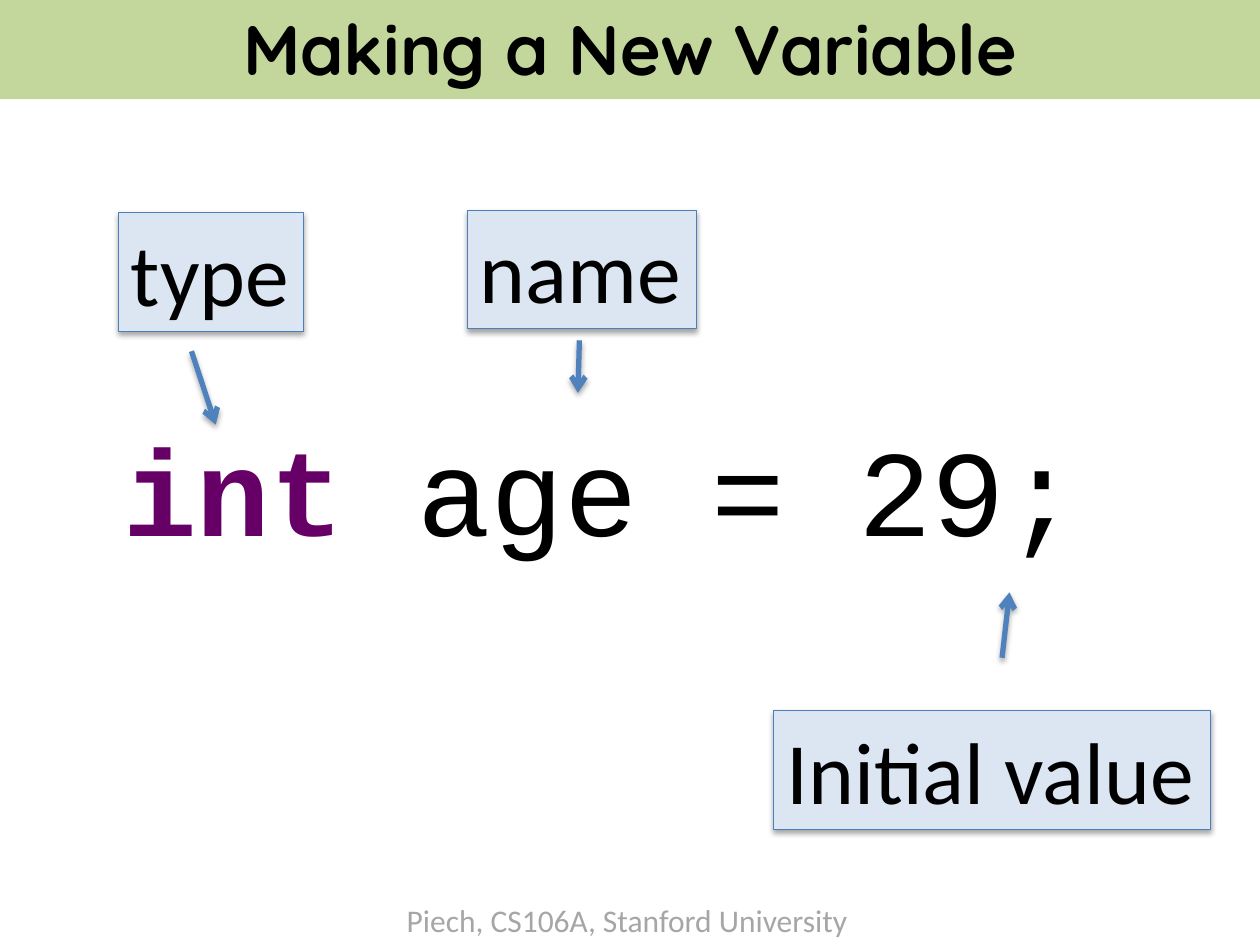
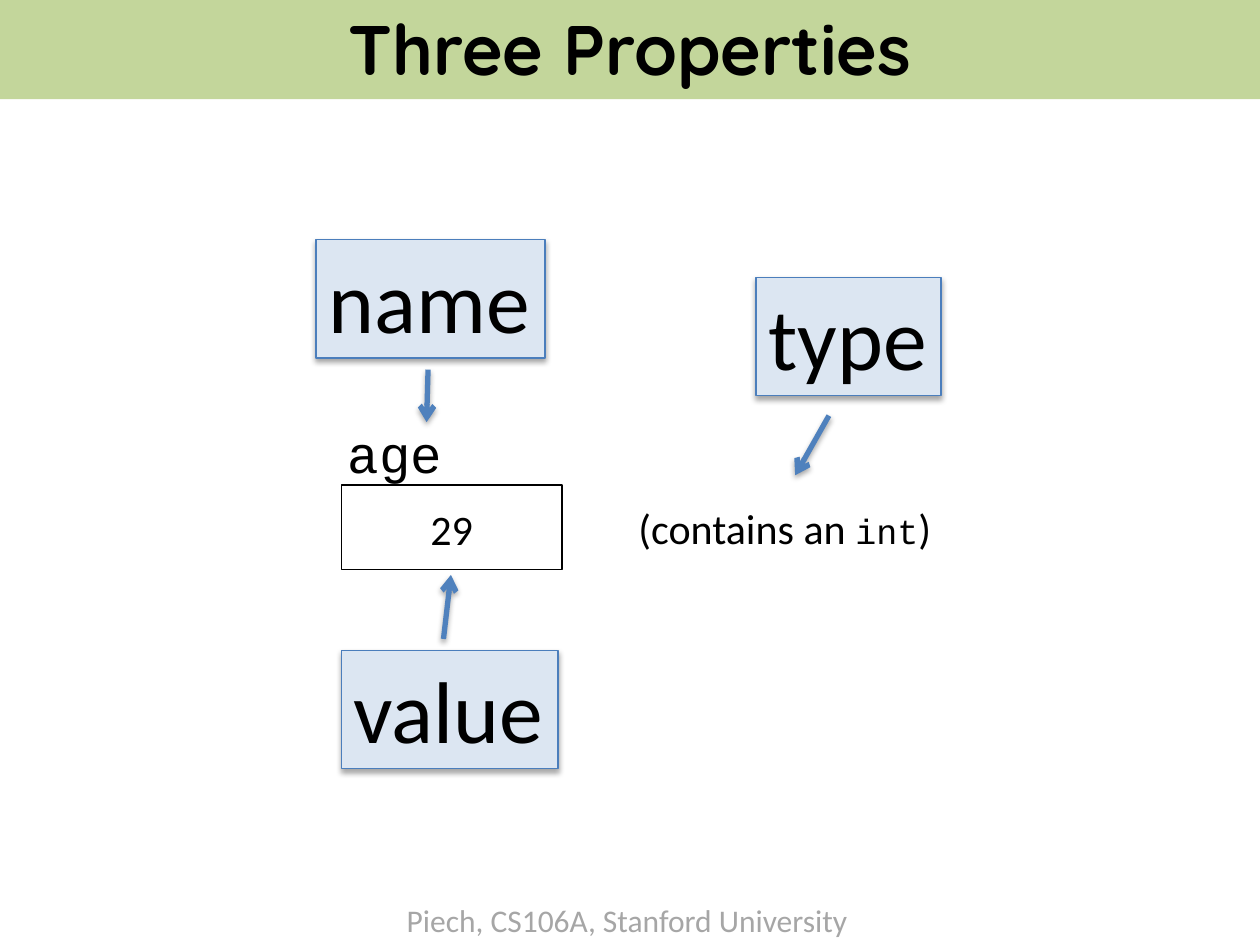
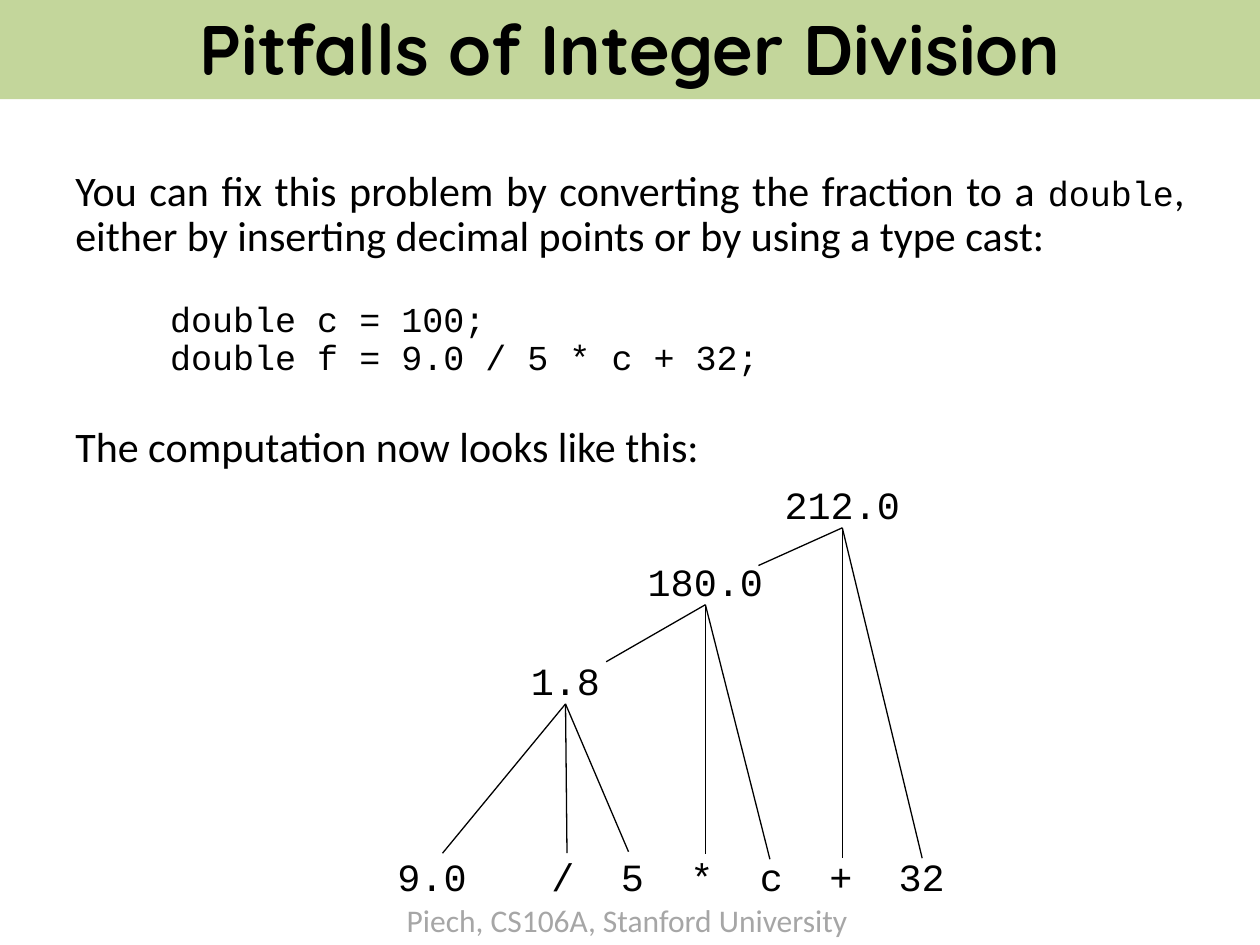
from lxml import etree
from pptx import Presentation
from pptx.dml.color import RGBColor
from pptx.enum.shapes import MSO_CONNECTOR, MSO_SHAPE
from pptx.enum.text import MSO_ANCHOR, MSO_AUTO_SIZE, PP_ALIGN
from pptx.oxml.ns import nsdecls, qn
from pptx.oxml import parse_xml
from pptx.util import Cm, Pt

RECTANGLE = MSO_SHAPE.RECTANGLE
STRAIGHT = MSO_CONNECTOR.STRAIGHT
LEFT, CENTER, JUSTIFY = PP_ALIGN.LEFT, PP_ALIGN.CENTER, PP_ALIGN.JUSTIFY
TOP, MIDDLE = MSO_ANCHOR.TOP, MSO_ANCHOR.MIDDLE
FIT_SHAPE = MSO_AUTO_SIZE.SHAPE_TO_FIT_TEXT

COLORS = {
    "text": "000000",
    "paper": "FFFFFF",
    "band": "C3D69B",
    "footer": "A6A6A6",
    "keyword": "660066",
    "label": "DCE6F2",
    "label_line": "4B7EBC",
    "arrow": "4F81BD",
}
BODY, CODE, HEADING = "Calibri", "Courier New", "Quicksand"
SLIDE_WIDTH, SLIDE_HEIGHT = 25.4, 19.05
LABEL_HEIGHT = 2.39
LABEL_WIDTHS = {"name": 4.62, "type": 3.73, "value": 4.37, "Initial value": 8.81}


def color(name):
    return RGBColor.from_string(COLORS[name])


def write(shape, text, font=BODY, size=24, ink="text", bold=False, align=LEFT,
          anchor=TOP, wrap=True, line_spacing=None):
    frame = shape.text_frame
    frame.word_wrap = wrap
    frame.vertical_anchor = anchor
    if not wrap:
        frame.auto_size = FIT_SHAPE
    lines = text if isinstance(text, list) else [text]
    for index, line in enumerate(lines):
        paragraph = frame.add_paragraph() if index else frame.paragraphs[0]
        paragraph.alignment = align
        if line_spacing:
            paragraph.line_spacing = line_spacing
        parts = [(line, {})] if isinstance(line, str) else line
        for words, changes in parts:
            look = {"font": font, "size": size, "ink": ink, "bold": bold, **changes}
            run = paragraph.add_run()
            run.text = words
            run.font.name = look["font"]
            run.font.size = Pt(look["size"])
            run.font.bold = look["bold"]
            run.font.color.rgb = color(look["ink"])


def add_text(slide, box, text, **text_format):
    shape = slide.shapes.add_textbox(*map(Cm, box))
    write(shape, text, **text_format)


def add_box(slide, box, fill, line=None):
    shape = slide.shapes.add_shape(RECTANGLE, *map(Cm, box))
    shape.shadow.inherit = False
    shape.fill.solid()
    shape.fill.fore_color.rgb = color(fill)
    if line:
        shape.line.color.rgb = color(line)
        shape.line.width = Pt(0.75)
    else:
        shape.line.fill.background()
    return shape


def add_line(slide, start, end, ink="text", width=0.75):
    line = slide.shapes.add_connector(STRAIGHT, *map(Cm, (*start, *end)))
    line.line.color.rgb = color(ink)
    line.line.width = Pt(width)
    etree.SubElement(line._element.spPr, qn("a:effectLst"))
    return line


def cast_shadow(shape):
    effects = shape._element.spPr.find(qn("a:effectLst"))
    effects.append(parse_xml(
        f'<a:outerShdw {nsdecls("a")} blurRad="40000" dist="23000" dir="5400000" '
        'rotWithShape="0"><a:srgbClr val="000000"><a:alpha val="35000"/>'
        '</a:srgbClr></a:outerShdw>'))


def add_arrow(slide, start, end):
    arrow = add_line(slide, start, end, ink="arrow", width=3)
    etree.SubElement(arrow.line._get_or_add_ln(), qn("a:tailEnd"), type="arrow")
    cast_shadow(arrow)


def add_label(slide, left, top, text, arrow_start, arrow_end):
    box = (left, top, LABEL_WIDTHS[text], LABEL_HEIGHT)
    label = add_box(slide, box, "label", "label_line")
    cast_shadow(label)
    write(label, text, size=50, wrap=False)
    start, end = [(left + x, top + y) for x, y in (arrow_start, arrow_end)]
    add_arrow(slide, start, end)


def add_base_slide(presentation, title):
    slide = presentation.slides.add_slide(presentation.slide_layouts[6])
    add_text(slide, (7.95, 18.03, 9.5, 1.02), "Piech, CS106A, Stanford University",
             size=18, ink="footer", wrap=False)
    band = add_box(slide, (0, -0.08, SLIDE_WIDTH, 2.08), "band")
    write(band, title, font=HEADING, size=40, bold=True, align=CENTER, anchor=MIDDLE)
    return slide


def add_variable(slide, left, top, width, height):
    add_box(slide, (left, top, width, height), "paper", "text")
    add_text(slide, (left - 0.12, top - 1.42, 2.44, 1.55), "age",
             font=CODE, size=30, wrap=False)
    add_text(slide, (left + 5.74, top + 0.23, 6.5, 1.27),
             [[("(contains an ", {}), ("int", {"font": CODE, "size": 20}), (")", {})]],
             wrap=False)
    add_text(slide, (left + 0.28, top + 0.25, width - 0.56, 1.27), "29", align=CENTER)


def add_explanation(slide, left, top, width):
    conversion = [
        ("You can fix this problem by converting the fraction to a ", {}),
        ("double", {"font": CODE, "size": 20}),
        (", either by inserting decimal points or by using a type cast:", {}),
    ]
    code = ["double c = 100;", "double f = 9.0 / 5 * c + 32;"]
    spaced = {"align": JUSTIFY, "line_spacing": 0.9}
    add_text(slide, (left, top, width, 2.08), [conversion], **spaced)
    add_text(slide, (left + 1.91, top + 2.67, width - 2.54, 1.8), code,
             font=CODE, size=20, **spaced)
    add_text(slide, (left, top + 5.16, width, 1.17),
             "The computation now looks like this:", **spaced)


def add_expression_tree(slide, left, top):
    leaf_top, pitch = 7.49, 1.4
    results = [
        ("1.8", 3.96, 3.55, [(1.48, 7.52), (3.99, 7.52), (5.23, 7.49)]),
        ("180.0", 6.78, 1.55, [(4.78, 3.66), (6.78, 7.54), (8.08, 7.64)]),
        ("212.0", 9.54, 0, [(7.85, 1.72), (9.54, 7.62), (11.15, 7.62)]),
    ]
    leaves = [("9.0", 1.27)]
    for index, token in enumerate(["/", "5", "*", "c", "+", "32"]):
        leaves.append((token, 3.91 + index * pitch + 0.23 * (len(token) - 1)))

    for _, center, result_top, ends in results:
        for x, y in ends:
            add_line(slide, (left + center, top + result_top + 0.96),
                     (left + x, top + y))

    nodes = [result[:3] for result in results]
    nodes += [(token, center, leaf_top) for token, center in leaves]
    for text, center, node_top in nodes:
        width = 0.6 + 0.47 * len(text)
        add_text(slide, (left + center - width / 2, top + node_top, width, 1.09), text,
                 font=CODE, size=22, align=CENTER, line_spacing=0.9)


def build_new_variable(presentation):
    slide = add_base_slide(presentation, "Making a New Variable")
    add_text(slide, (2.24, 8.23, 19.96, 6.25),
             [[("int ", {"ink": "keyword", "bold": True}), ("age = 29;", {})]],
             font=CODE, size=70, wrap=False)
    add_label(slide, 9.42, 4.24, "name", (2.26, 2.62), (2.23, 3.68))
    add_label(slide, 2.39, 4.29, "type", (1.47, 2.79), (1.96, 4.27))
    add_label(slide, 15.6, 14.33, "Initial value", (4.6, -1.07), (4.75, -2.39))


def build_properties(presentation):
    slide = add_base_slide(presentation, "Three Properties")
    add_variable(slide, 6.88, 9.78, 4.45, 1.7)
    add_label(slide, 6.37, 4.83, "name", (2.26, 2.62), (2.23, 3.68))
    add_label(slide, 6.88, 13.11, "value", (2.06, -0.23), (2.21, -1.52))
    add_label(slide, 15.24, 5.59, "type", (1.47, 2.79), (0.79, 3.99))


def build_division(presentation):
    slide = add_base_slide(presentation, "Pitfalls of Integer Division")
    add_explanation(slide, 1.27, 3.3, 22.86)
    add_expression_tree(slide, 7.44, 9.68)


def main():
    presentation = Presentation()
    presentation.slide_width = Cm(SLIDE_WIDTH)
    presentation.slide_height = Cm(SLIDE_HEIGHT)
    build_new_variable(presentation)
    build_properties(presentation)
    build_division(presentation)
    presentation.save("out.pptx")


if __name__ == "__main__":
    main()
